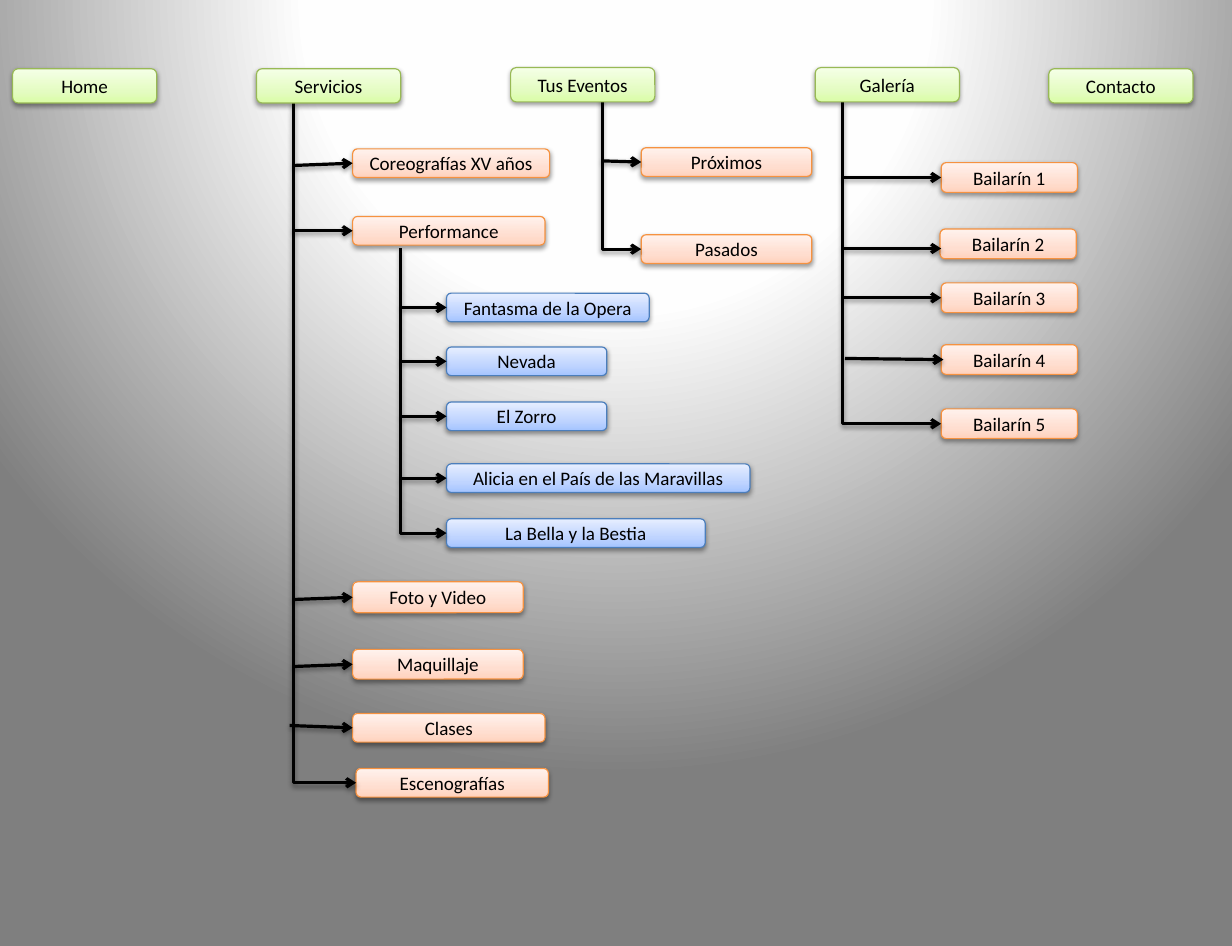
"""Build the site map of a dance company's website."""
from dataclasses import dataclass

import lxml.etree
import pptx
import pptx.dml.color
import pptx.enum.shapes
import pptx.enum.text
import pptx.oxml
import pptx.oxml.ns
import pptx.util

Inches = pptx.util.Inches
Pt = pptx.util.Pt
qn = pptx.oxml.ns.qn
NAMESPACE = pptx.oxml.ns.nsdecls("a")
FONT = "Calibri"
COLORS = {
    "text": "000000",
    "arrow": "000000",
    "shadow": "000000",
    "section_edge": "98B955",
    "page_edge": "F69240",
    "show_edge": "4B7EBC",
}
GRADIENTS = {
    "section": {0: "DAFDA7", 35: "E4FCC2", 100: "F5FFE7"},
    "page": {0: "FFD2BD", 35: "FFDED0", 100: "FFF2ED"},
    "show": {0: "A4C4FF", 35: "BFD4FF", 100: "E6EEFF"},
    "background": {0: "FFFFFF", 40: "FEFEFE", 100: "7F7F7F"},
}
UPWARD = '<a:lin ang="16200000" scaled="0"/>'
SPOTLIGHT = (
    '<a:path path="circle">'
    '<a:fillToRect l="50000" t="-80000" r="50000" b="180000"/></a:path>'
)


@dataclass(frozen=True)
class Entry:
    """A labelled box, with offsets in inches for the ends of its arrow."""

    label: str
    left: float
    top: float
    width: float
    height: float = 0.25
    start: tuple[float, float] = (0, 0)
    end: tuple[float, float] = (0, 0)


@dataclass(frozen=True)
class Branch:
    """A vertical trunk with the entries that hang from it."""

    trunk: float
    top: float
    kind: str
    entries: list[Entry]


SECTIONS = [
    Entry(label, left, top, 1.26, 0.3)
    for label, left, top in [
        ("Home", 0.11, 0.6),
        ("Servicios", 2.24, 0.6),
        ("Tus Eventos", 4.46, 0.59),
        ("Galería", 7.12, 0.59),
        ("Contacto", 9.16, 0.6),
    ]
]
BRANCHES = [
    Branch(2.56, 0.89, "page", [
        Entry("Coreografías XV años", 3.08, 1.3, 1.72, start=(0, 0.02)),
        Entry("Performance", 3.08, 1.89, 1.68),
        Entry("Foto y Video", 3.08, 5.08, 1.49, 0.27, start=(0, 0.02)),
        Entry("Maquillaje", 3.08, 5.67, 1.49, 0.26, start=(0, 0.02)),
        Entry("Clases", 3.08, 6.23, 1.68, start=(-0.03, -0.02)),
        Entry("Escenografías", 3.11, 6.71, 1.68),
    ]),
    Branch(3.5, 2.17, "show", [
        Entry("Fantasma de la Opera", 3.9, 2.56, 1.77),
        Entry("Nevada", 3.9, 3.03, 1.4),
        Entry("El Zorro", 3.9, 3.51, 1.4),
        Entry("Alicia en el País de las Maravillas", 3.9, 4.05, 2.65),
        Entry("La Bella y la Bestia", 3.9, 4.53, 2.26),
    ]),
    Branch(5.26, 0.84, "page", [
        Entry("Próximos", 5.6, 1.29, 1.49, start=(0, -0.01)),
        Entry("Pasados", 5.6, 2.05, 1.49),
    ]),
    Branch(7.36, 0.89, "page", [
        Entry("Bailarín 1", 8.22, 1.42, 1.19, 0.26),
        Entry("Bailarín 2", 8.21, 2, 1.19, 0.26, end=(0.01, 0.04)),
        Entry("Bailarín 3", 8.22, 2.47, 1.19, 0.26),
        Entry("Bailarín 4", 8.22, 3.01, 1.19, 0.26, start=(0.02, -0.01), end=(0.02, 0)),
        Entry("Bailarín 5", 8.22, 3.57, 1.19, 0.26),
    ]),
]


def rgb(name: str) -> pptx.dml.color.RGBColor:
    """Return the named colour."""
    return pptx.dml.color.RGBColor.from_string(COLORS[name])


def set_gradient(holder, name: str, shading: str) -> None:
    """Replace the gradient inside an element by the named one."""
    gradient = next(holder.iter(qn("a:gradFill")))
    stops = "".join(
        f'<a:gs pos="{position * 1000}"><a:srgbClr val="{color}"/></a:gs>'
        for position, color in GRADIENTS[name].items()
    )
    filled = pptx.oxml.parse_xml(
        f'<a:gradFill {NAMESPACE} rotWithShape="1">'
        f"<a:gsLst>{stops}</a:gsLst>{shading}</a:gradFill>"
    )
    gradient.getparent().replace(gradient, filled)


def add_shadow(properties) -> None:
    """Give shape properties a soft shadow below."""
    effects = properties.find(qn("a:effectLst"))
    if effects is None:
        effects = lxml.etree.SubElement(properties, qn("a:effectLst"))
    effects.append(pptx.oxml.parse_xml(
        f'<a:outerShdw {NAMESPACE} blurRad="{Pt(3.1)}" dist="{Pt(1.6)}" '
        'dir="5400000" rotWithShape="0">'
        f'<a:srgbClr val="{COLORS["shadow"]}"><a:alpha val="38000"/></a:srgbClr>'
        "</a:outerShdw>"
    ))


def add_entry(slide, entry: Entry, kind: str) -> None:
    """Draw a labelled box."""
    box = slide.shapes.add_shape(
        pptx.enum.shapes.MSO_SHAPE.ROUNDED_RECTANGLE,
        Inches(entry.left), Inches(entry.top), Inches(entry.width), Inches(entry.height),
    )
    box.fill.gradient()
    set_gradient(box._element, kind, UPWARD)
    box.line.color.rgb = rgb(f"{kind}_edge")
    box.line.width = Pt(0.75)
    box.shadow.inherit = False
    add_shadow(box._element.spPr)
    frame = box.text_frame
    frame.vertical_anchor = pptx.enum.text.MSO_ANCHOR.MIDDLE
    paragraph = frame.paragraphs[0]
    paragraph.alignment = pptx.enum.text.PP_ALIGN.CENTER
    label = paragraph.add_run()
    label.text = entry.label
    label.font.name = FONT
    label.font.size = Pt(12)
    label.font.color.rgb = rgb("text")


def add_arrow(slide, kind, x1: float, y1: float, x2: float, y2: float):
    """Draw a connector with an open arrowhead and return it."""
    arrow = slide.shapes.add_connector(kind, Inches(x1), Inches(y1), Inches(x2), Inches(y2))
    arrow.line.color.rgb = rgb("arrow")
    arrow.line.width = Pt(2)
    outline = arrow.line._get_or_add_ln()
    lxml.etree.SubElement(outline, qn("a:tailEnd"), type="arrow")
    add_shadow(arrow._element.spPr)
    return arrow


def add_trunk(slide, x: float, top: float, end_x: float, end_y: float) -> None:
    """Draw an arrow that runs down and then turns right."""
    width, height = end_x - x, end_y - top
    left = (x + end_x - height) / 2
    upper = (top + end_y - width) / 2
    trunk = add_arrow(
        slide, pptx.enum.shapes.MSO_CONNECTOR.ELBOW,
        left + height, upper, left, upper + width,
    )
    properties = trunk._element.spPr
    properties.find(qn("a:xfrm")).set("rot", "16200000")
    properties.find(qn("a:prstGeom")).set("prst", "bentConnector2")


def add_branch(slide, branch: Branch) -> None:
    """Draw the entries of a branch, its trunk and its arrows."""
    for entry in branch.entries:
        add_entry(slide, entry, branch.kind)
    *upper_entries, last = branch.entries
    add_trunk(slide, branch.trunk, branch.top, last.left, last.top + last.height / 2)
    for entry in upper_entries:
        end_y = entry.top + entry.height / 2 + entry.end[1]
        add_arrow(
            slide, pptx.enum.shapes.MSO_CONNECTOR.STRAIGHT,
            branch.trunk + entry.start[0], end_y + entry.start[1],
            entry.left + entry.end[0], end_y,
        )


presentation = pptx.Presentation()
presentation.slide_width = Inches(10.76)
presentation.slide_height = Inches(8.26)
site_map = presentation.slides.add_slide(presentation.slide_layouts[6])
site_map.background.fill.gradient()
set_gradient(site_map._element, "background", SPOTLIGHT)
for site_branch in BRANCHES:
    add_branch(site_map, site_branch)
for section in SECTIONS:
    add_entry(site_map, section, "section")
presentation.save("out.pptx")
